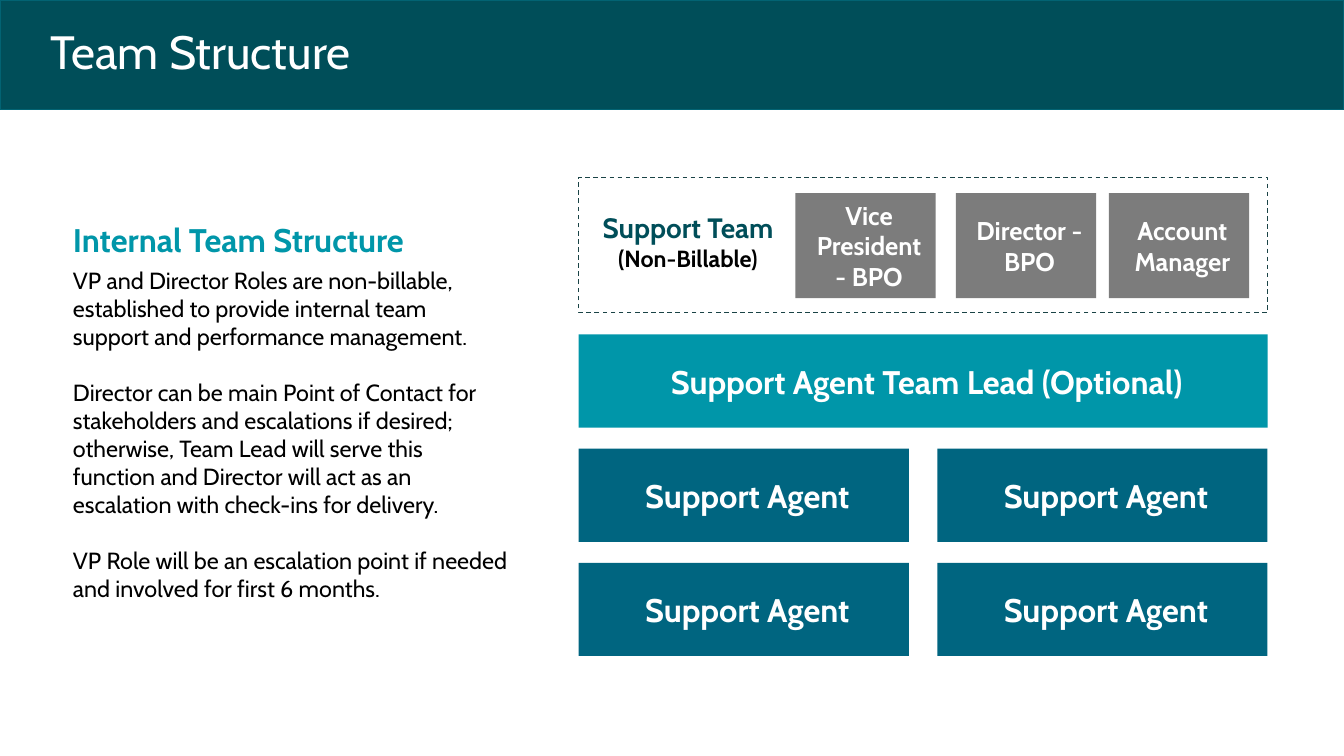
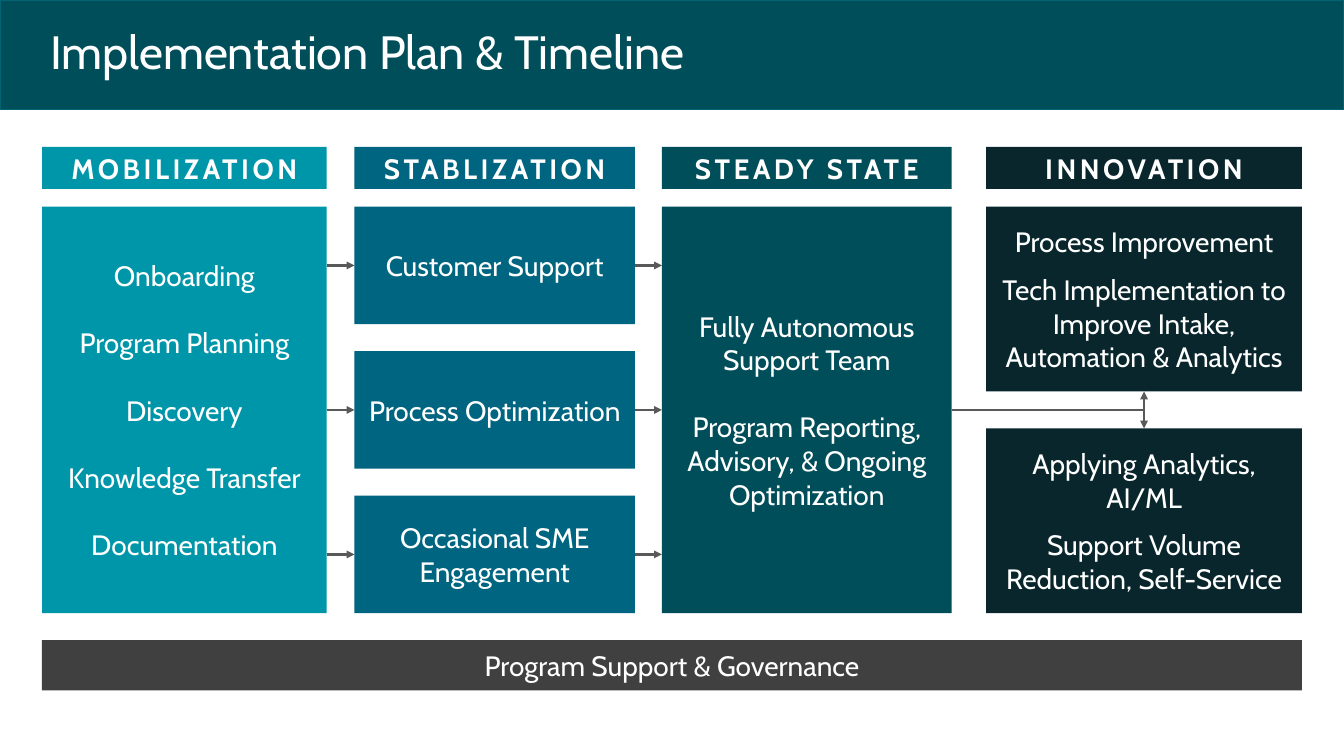
from collections import namedtuple

from lxml.etree import SubElement
from pptx import Presentation
from pptx.dml.color import RGBColor
from pptx.enum.dml import MSO_LINE
from pptx.enum.shapes import MSO_CONNECTOR, MSO_SHAPE
from pptx.enum.text import MSO_ANCHOR, PP_ALIGN
from pptx.oxml.ns import qn
from pptx.util import Pt

PX = 9144  # 100 px to the inch
FONT = "Cabin"
WHITE, BLACK = "FFFFFF", "000000"
TEAL, BLUE, DEEP, NIGHT = "0096A9", "006580", "004E59", "08262C"
GREY, CHARCOAL, ARROW = "7C7C7C", "404040", "595959"
BAND_EDGE, DASH_EDGE = "026373", "1A4346"
EVEN, ROLE = (10, 10, 10, 10), (18, 5, 10, 5)
PLAIN = (10, 5, 10, 5)

# One paragraph: gap is the space before it, spc the letter spacing, in points
Para = namedtuple("Para", "text size color bold gap spc",
                  defaults=(24, WHITE, False, 0, 0))


def px(*lengths):
    return [n * PX for n in lengths]


def rgb(code):
    return RGBColor.from_string(code)


def write(sp, paras, inset, align=PP_ALIGN.CENTER, anchor=MSO_ANCHOR.MIDDLE):
    tf = sp.text_frame
    tf.word_wrap = True
    tf.vertical_anchor = anchor
    tf.margin_left, tf.margin_top, tf.margin_right, tf.margin_bottom = px(*inset)
    for i, para in enumerate(paras):
        p = tf.paragraphs[0] if i == 0 else tf.add_paragraph()
        p.text = para.text
        p.alignment = align
        if para.gap:
            p.space_before = Pt(para.gap)
        p.font.name, p.font.size, p.font.bold = FONT, Pt(para.size), para.bold
        p.font.color.rgb = rgb(para.color)
        if para.spc:
            p.runs[0]._r.get_or_add_rPr().set("spc", str(para.spc * 100))


def block(s, box, fill=None, paras=(), inset=EVEN, edge=None):
    sp = s.shapes.add_shape(MSO_SHAPE.RECTANGLE, *px(*box))
    sp.shadow.inherit = False
    if fill:
        sp.fill.solid()
        sp.fill.fore_color.rgb = rgb(fill)
    else:
        sp.fill.background()
    if edge:
        sp.line.color.rgb = rgb(edge)
        sp.line.width = Pt(1)
    else:
        sp.line.fill.background()
    if paras:
        write(sp, paras, inset)
    return sp


def text(s, box, paras, inset=PLAIN, **layout):
    sp = s.shapes.add_textbox(*px(*box))
    write(sp, paras, inset, **layout)
    return sp


def link(s, start, end, begin_at=None, end_at=None, heads=("tailEnd",)):
    """Line between two points; begin_at and end_at are (shape, side)."""
    cn = s.shapes.add_connector(MSO_CONNECTOR.STRAIGHT, *px(*start, *end))
    if begin_at:
        cn.begin_connect(*begin_at)
    if end_at:
        cn.end_connect(*end_at)
    cn.line.color.rgb = rgb(ARROW)
    cn.line.width = Pt(2.25)
    ln = cn.line._get_or_add_ln()
    for head in heads:
        SubElement(ln, qn("a:" + head), type="triangle")
    SubElement(cn._element.spPr, qn("a:effectLst"))


def titled_slide(prs, title):
    s = prs.slides.add_slide(prs.slide_layouts[6])
    block(s, (0, 0, 1600, 130), DEEP, edge=BAND_EDGE)
    sp = text(s, (50, 30, 1500, 70), [Para(title, 40)], align=PP_ALIGN.LEFT)
    sp.text_frame.paragraphs[0].line_spacing = 0.9
    return s


# Team slide regions
def internal_notes(s, box):
    text(s, box, [
        Para("Internal Team Structure", 28, TEAL, True),
        Para("VP and Director Roles are non-billable, established to provide "
             "internal team support and performance management.", 20, BLACK, gap=6),
        Para("Director can be main Point of Contact for stakeholders and "
             "escalations if desired; otherwise, Team Lead will serve this "
             "function and Director will act as an escalation with check-ins "
             "for delivery.", 20, BLACK, gap=24),
        Para("VP Role will be an escalation point if needed and involved for "
             "first 6 months.", 20, BLACK, gap=24),
    ], align=PP_ALIGN.LEFT, anchor=MSO_ANCHOR.TOP)


def support_team(s, x, y, w, h):
    frame = block(s, (x, y, w, h), edge=DASH_EDGE)
    frame.line.dash_style = MSO_LINE.DASH
    text(s, (x, y + 46, 260, 60), [
        Para("Support Team", 24, DEEP, True),
        Para("(Non-Billable)", 20, BLACK, True),
    ], inset=(12, 6, 12, 6))
    roles = [(258, "Vice President - BPO"), (449, "Director - BPO"),
             (631, "Account Manager")]
    for dx, role in roles:
        block(s, (x + dx, y + 19, 167, 125), GREY,
              [Para(role, 22, bold=True)], ROLE)


def agent_chart(s, x, y, w):
    row_h, pitch, agent_w = 111, 136, 393
    block(s, (x, y, w, row_h), TEAL,
          [Para("Support Agent Team Lead (Optional)", 28, bold=True)], ROLE)
    for row in (1, 2):
        for left in (x, x + w - agent_w):
            block(s, (left, y + row * pitch, agent_w, row_h), BLUE,
                  [Para("Support Agent", 28, bold=True)], ROLE)


def team_slide(prs):
    s = titled_slide(prs, "Team Structure")
    internal_notes(s, (77, 257, 537, 470))
    support_team(s, 689, 211, 820, 161)
    agent_chart(s, 689, 398, 820)


# Timeline slide regions
def phase(s, x, y, w, h, name, fill, cards):
    """Header with equal cards below, the last ending at the box's foot."""
    block(s, (x, y, w, 50), fill, [Para(name, bold=True, spc=3)])
    top, card_h = y + 71, cards[0]
    area = h - 71
    steps = max(len(cards) - 2, 1)
    pitch = (area - card_h) // steps
    return [block(s, (x, top + i * pitch, w, card_h), fill, paras)
            for i, paras in enumerate(cards[1:])]


def timeline_slide(prs):
    s = titled_slide(prs, "Implementation Plan & Timeline")
    y, h = 175, 555

    # Phases: each list starts with its card height
    mobilization = ["Onboarding", "Program Planning", "Discovery",
                    "Knowledge Transfer", "Documentation"]
    start, = phase(s, 50, y, 339, h, "MOBILIZATION", TEAL, [
        484, [Para(t, gap=28.8 if i else 0) for i, t in enumerate(mobilization)]])
    tasks = phase(s, 422, y, 334, h, "STABLIZATION", BLUE, [
        140, [Para("Customer Support")], [Para("Process Optimization")],
        [Para("Occasional SME Engagement")]])
    steady, = phase(s, 788, y, 345, h, "STEADY STATE", DEEP, [
        484, [Para("Fully Autonomous"), Para("Support Team"),
              Para("Program Reporting, Advisory, & Ongoing Optimization",
                   gap=28.8)]])
    improve, apply_ai = phase(s, 1174, y, 376, h, "INNOVATION", NIGHT, [
        220,
        [Para("Process Improvement"),
         Para("Tech Implementation to Improve Intake, Automation & Analytics",
              gap=12)],
        [Para("Applying Analytics, AI/ML"),
         Para("Support Volume Reduction, Self-Service", gap=12)]])

    # Governance bar
    block(s, (50, 762, 1500, 60), CHARCOAL, [Para("Program Support & Governance")])

    # Arrows between phases
    for i, task in enumerate(tasks):
        mid = 316 + i * 172
        central = i == 1
        link(s, (389, mid), (422, mid), (start, 3) if central else None, (task, 1))
        link(s, (756, mid), (788, mid), (task, 3), (steady, 1) if central else None)
    link(s, (1133, 488), (1362, 488), (steady, 3), heads=())
    link(s, (1362, 466), (1362, 510), (improve, 2), (apply_ai, 0),
         heads=("headEnd", "tailEnd"))


def main():
    prs = Presentation()
    prs.slide_width, prs.slide_height = px(1600, 900)
    team_slide(prs)
    timeline_slide(prs)
    prs.save("out.pptx")


if __name__ == "__main__":
    main()
